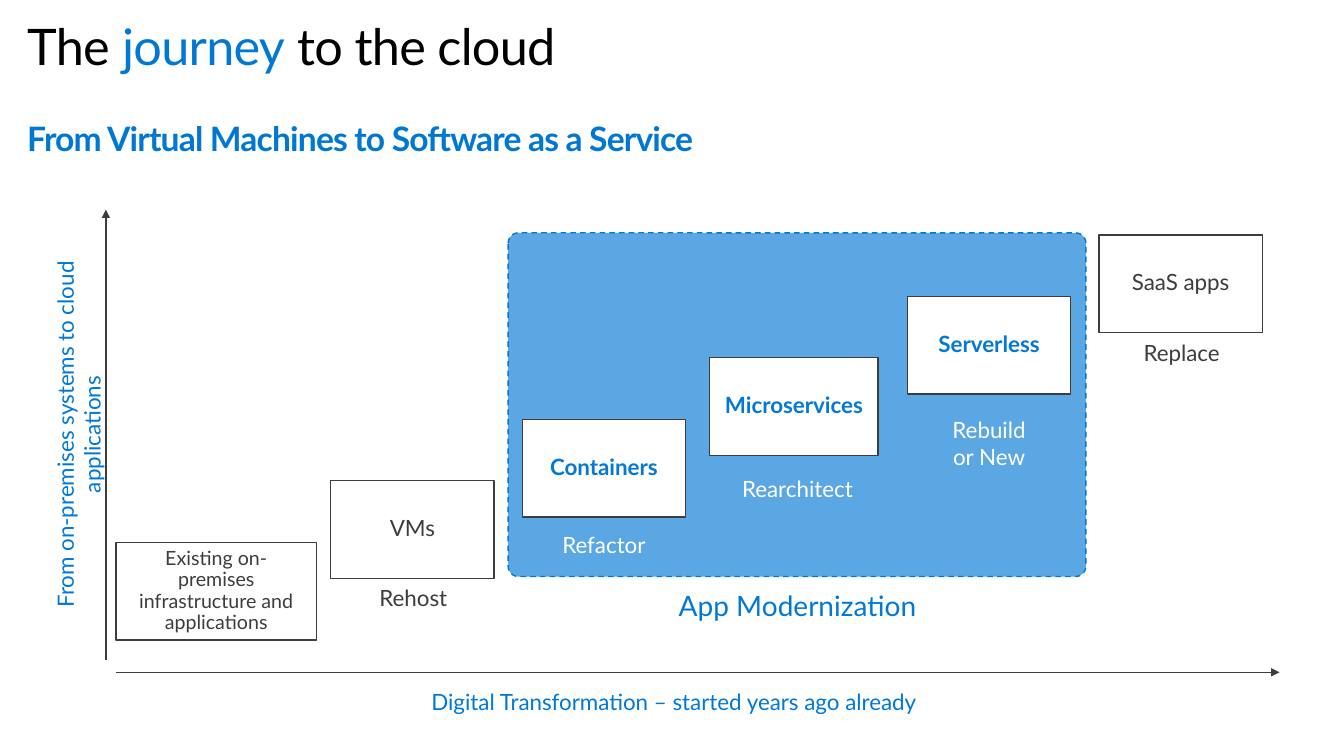
from lxml import etree
from pptx import Presentation
from pptx.dml.color import RGBColor
from pptx.enum.dml import MSO_LINE
from pptx.enum.shapes import MSO_CONNECTOR, MSO_SHAPE
from pptx.enum.text import MSO_ANCHOR, MSO_AUTO_SIZE, PP_ALIGN
from pptx.oxml.ns import qn
from pptx.util import Inches, Pt

LEFT, CENTER = PP_ALIGN.LEFT, PP_ALIGN.CENTER
TOP, MIDDLE = MSO_ANCHOR.TOP, MSO_ANCHOR.MIDDLE
FONT = "Lato"
BLUE, BRIGHT, DARK, WHITE, BLACK = "0078D7", "0478D7", "3C3C41", "FFFFFF", "000000"

TITLE = [("The ", BLACK), ("journey", "0078D4"), (" to the cloud", BLACK)]
SUBTITLE = "From Virtual Machines to Software as a Service"
X_AXIS = "Digital Transformation – started years ago already"
Y_AXIS = "From on-premises systems to cloud applications"
ZONE = "App Modernization"

# name, left, width, side inset, size, is modernization, caption, caption left, caption top
STEPS = [
    ("Existing on-premises infrastructure and applications",
     1.15, 1.99, 0.2, 14, False, None, 0, 0),
    ("VMs", 3.28, 1.62, 0.2, 16, False, "Rehost", 3.38, 5.8),
    ("Containers", 5.18, 1.62, 0.2, 16, True, "Refactor", 5.27, 5.27),
    ("Microservices", 7.04, 1.67, 0.1, 16, True, "Rearchitect", 7.19, 4.71),
    ("Serverless", 9, 1.62, 0.2, 16, True, "Rebuild\nor New", 9.09, 4.13),
    ("SaaS apps", 10.9, 1.62, 0.2, 16, False, "Replace", 11, 3.36),
]
FIRST_TOP, RISE, BOX_H = 5.38, 0.61, 0.97
LINE_H, CAPTION_W = 0.27, 1.44
AXES = [(1.05, 6.55, 1.05, 2.08), (1.15, 6.67, 12.69, 6.67)]


def rgb(color):
    return RGBColor.from_string(color)


def place(shape, *box):
    shape.left, shape.top, shape.width, shape.height = map(Inches, box)


def set_frame(tf, insets=(0, 0, 0, 0), anchor=TOP):
    tf.word_wrap = True
    tf.auto_size = MSO_AUTO_SIZE.NONE
    tf.vertical_anchor = anchor
    tf.margin_left, tf.margin_top, tf.margin_right, tf.margin_bottom = map(Inches, insets)


def style(p, size, color, bold=False, align=CENTER):
    p.alignment = align
    p.font.name, p.font.size, p.font.bold = FONT, Pt(size), bold
    p.font.color.rgb = rgb(color)


def tighten(p, points):
    """Set the letter spacing of every run."""
    for r in p.runs:
        r.font._element.set("spc", str(round(points * 100)))


def add_text(s, text, box, size, color, bold=False, align=CENTER, insets=(0, 0, 0, 0)):
    shape = s.shapes.add_textbox(*map(Inches, box))
    set_frame(shape.text_frame, insets)
    p = shape.text_frame.paragraphs[0]
    p.text = text
    style(p, size, color, bold, align)
    return shape


def add_box(s, kind, box, fill, line):
    shape = s.shapes.add_shape(kind, *map(Inches, box))
    shape.shadow.inherit = False
    shape.fill.solid()
    shape.fill.fore_color.rgb = rgb(fill)
    shape.line.color.rgb = rgb(line)
    shape.line.width = Pt(1)
    return shape


def add_title(s):
    title = s.shapes.title
    place(title, 0.27, 0.22, 12.33, 0.78)
    set_frame(title.text_frame)
    p = title.text_frame.paragraphs[0]
    style(p, 36, BLACK, align=LEFT)
    p.line_spacing = 0.9
    for text, color in TITLE:
        r = p.add_run()
        r.text = text
        r.font.color.rgb = rgb(color)
    tighten(p, -0.5)


def add_zone(s):
    zone = add_box(s, MSO_SHAPE.ROUNDED_RECTANGLE, (5.04, 2.31, 5.73, 3.41), BRIGHT, "0078D4")
    zone.adjustments[0] = 0.03
    zone.line.dash_style = MSO_LINE.DASH
    fill_color = zone._element.spPr.find(qn("a:solidFill"))[0]
    etree.SubElement(fill_color, qn("a:alpha")).set("val", "65000")


def add_axis(s, ends):
    axis = s.shapes.add_connector(MSO_CONNECTOR.STRAIGHT, *map(Inches, ends))
    axis.line.color.rgb = rgb(DARK)
    axis.line.width = Pt(1)
    etree.SubElement(axis.line._get_or_add_ln(), qn("a:tailEnd")).set("type", "triangle")
    etree.SubElement(axis._element.spPr, qn("a:effectLst"))


def add_step(s, i, name, left, width, inset, size, modern, caption, cap_left, cap_top):
    box = (left, FIRST_TOP - i * RISE, width, BOX_H)
    shape = add_box(s, MSO_SHAPE.RECTANGLE, box, WHITE, DARK)
    set_frame(shape.text_frame, (inset, 0.16, inset, 0.16), MIDDLE)
    p = shape.text_frame.paragraphs[0]
    p.text = name
    p.line_spacing = 0.9
    style(p, size, BRIGHT if modern else DARK, bold=modern)
    if caption:
        height = LINE_H * len(caption.split("\n"))
        add_text(s, caption, (cap_left, cap_top, CAPTION_W, height), 16,
                 WHITE if modern else DARK)


def main():
    prs = Presentation()
    prs.slide_width, prs.slide_height = Inches(13.33), Inches(7.5)
    s = prs.slides.add_slide(prs.slide_layouts[5])
    add_title(s)
    subtitle = add_text(s, SUBTITLE, (0.27, 1.07, 12.33, 0.61), 24, "0078D3", True, LEFT,
                        (0, 0.1, 0.16, 0.1))
    tighten(subtitle.text_frame.paragraphs[0], -0.6)
    add_zone(s)
    for ends in AXES:
        add_axis(s, ends)
    add_text(s, X_AXIS, (3.15, 6.83, 7.07, LINE_H), 16, BLUE)
    add_text(s, Y_AXIS, (-1.07, 4.04, 3.7, 2 * LINE_H), 16, BLUE).rotation = 270
    for i, step in enumerate(STEPS):
        add_step(s, i, *step)
    add_text(s, ZONE, (6.51, 5.84, 2.8, 0.34), 20, BLUE)
    prs.save("out.pptx")


if __name__ == "__main__":
    main()
